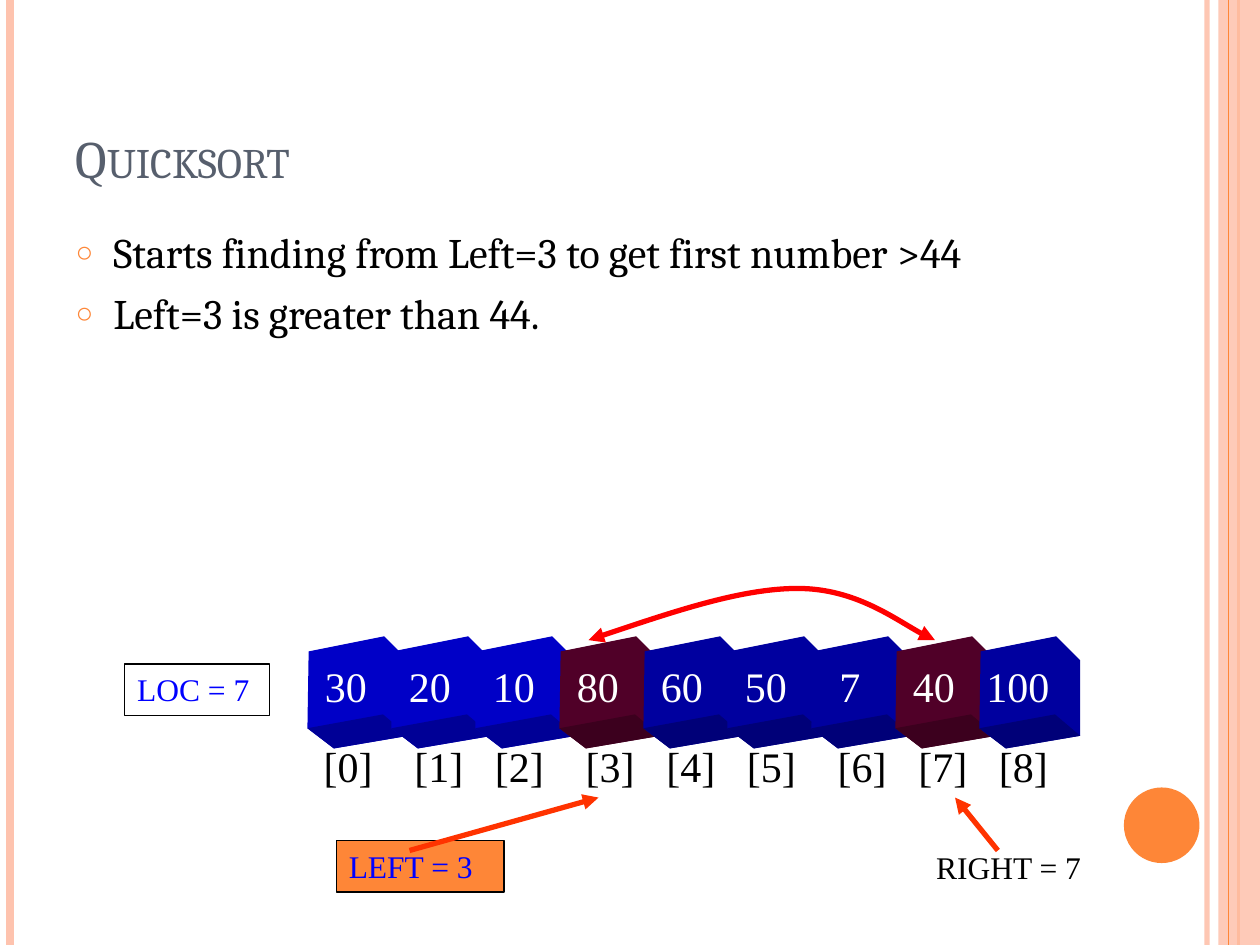
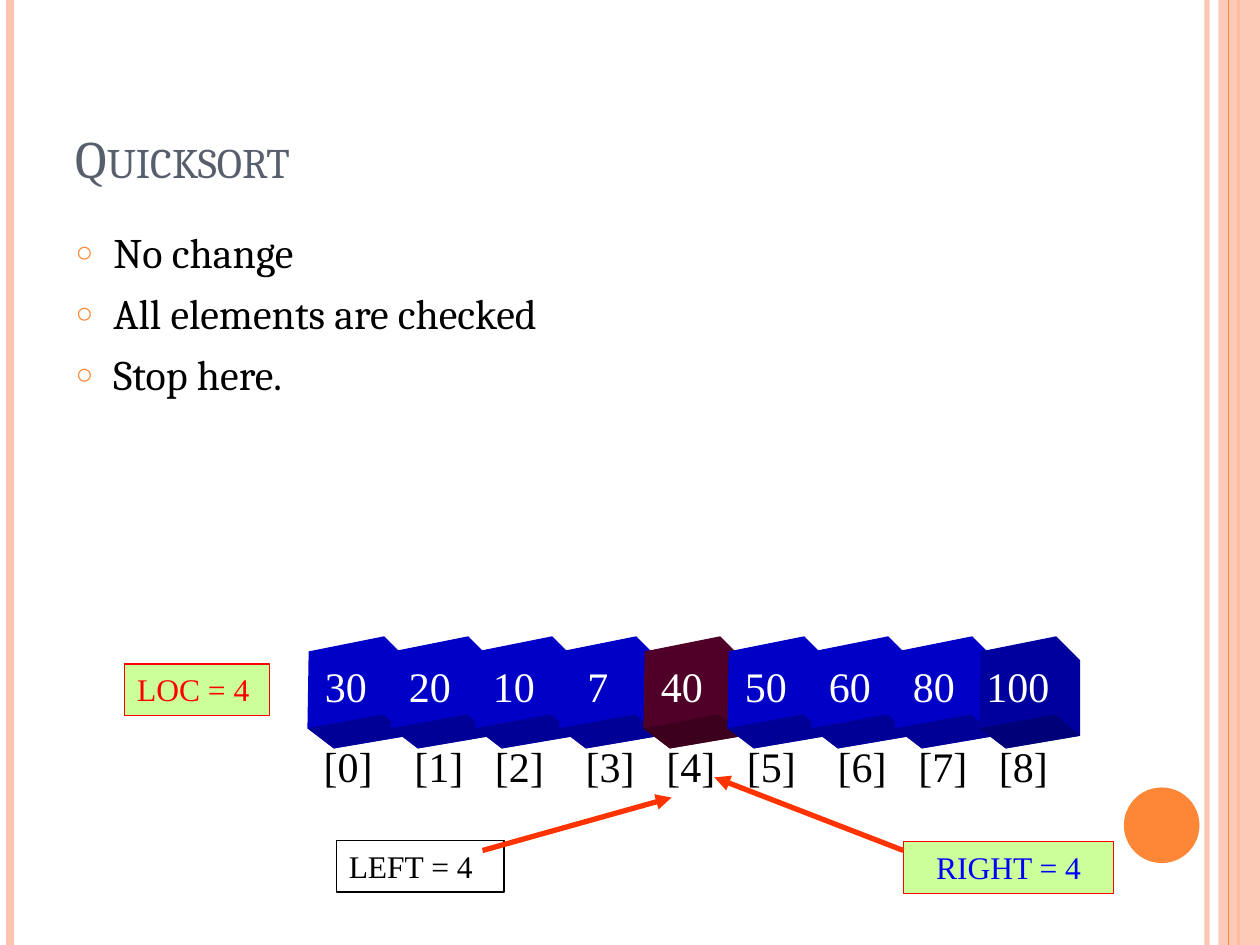
from lxml.etree import SubElement
from pptx import Presentation
from pptx.dml.color import RGBColor
from pptx.enum.shapes import MSO_CONNECTOR as CONN, MSO_SHAPE as SHAPE
from pptx.enum.text import MSO_ANCHOR as ANCHOR, PP_ALIGN as ALIGN
from pptx.oxml.ns import qn
from pptx.util import Inches, Pt

ORANGE, PEACH, SLATE = "FE8637", "FEC3AE", "575F6D"
BLACK, WHITE, BLUE, RED = "000000", "FFFFFF", "0000FF", "FF0000"
NAVY, PLUM, LIME, ARROW = "0000CC", "660033", "CCFF99", "FF3300"
SERIF, ROMAN = "Cambria", "Times New Roman"

CELL = 2 / 3
ROW_LEFT, ROW_TOP = 2.42, 5.08
CUBE = [(0.03, 0.09), (0.63, -0.03), (0.82, 0.16), (0.82, 0.76), (0.23, 0.86), (0.02, 0.7)]
CUBE_BASE = [(0.02, 0.7), (0.62, 0.59), (0.82, 0.76), (0.23, 0.86)]
SWAP = [(4.67, 5.08), (5.27, 4.88), (5.88, 4.67), (6.33, 4.67),
        (6.79, 4.67), (7.24, 5.01), (7.42, 5.08)]


def rgb(color):
    return RGBColor.from_string(color)


def shade(color, factor):
    return "".join(f"{round(int(color[i:i + 2], 16) * factor):02X}" for i in (0, 2, 4))


def box(*lengths):
    return [Inches(v) for v in lengths]


def add_xml(parent, tag, **attrs):
    return SubElement(parent, qn(tag), attrs)


class Deck:
    def __init__(self):
        self.prs = Presentation()
        self.prs.slide_width, self.prs.slide_height = box(10, 7.5)
        self.slide = None

    def new_slide(self):
        self.slide = self.prs.slides.add_slide(self.prs.slide_layouts[1])

    def paint(self, sp, fill=None, line=None, width=0.75, alpha=None):
        sp.shadow.inherit = False
        if fill:
            sp.fill.solid()
            sp.fill.fore_color.rgb = rgb(fill)
            if alpha:
                clr = sp.fill._xPr.find(qn("a:solidFill"))[0]
                add_xml(clr, "a:alpha", val=str(alpha * 1000))
        else:
            sp.fill.background()
        if line:
            sp.line.color.rgb = rgb(line)
            sp.line.width = Pt(width)
        else:
            sp.line.fill.background()
        return sp

    def style(self, p, font, size, color):
        for r in p.runs:
            r.font.name, r.font.size = font, Pt(size)
            r.font.color.rgb = rgb(color)

    def shape(self, kind, at, **look):
        return self.paint(self.slide.shapes.add_shape(kind, *box(*at)), **look)

    def line(self, start, end, color, width, alpha=None, arrow=False):
        cn = self.slide.shapes.add_connector(CONN.STRAIGHT, *box(*start, *end))
        cn.line.color.rgb = rgb(color)
        cn.line.width = Pt(width)
        ln = cn.line._get_or_add_ln()
        if alpha:
            add_xml(ln.find(qn("a:solidFill"))[0], "a:alpha", val=str(alpha * 1000))
        if arrow:
            add_xml(ln, "a:tailEnd", type="triangle")
        add_xml(cn._element.spPr, "a:effectLst")

    def polygon(self, points, close=True, **look):
        points = [box(*pt) for pt in points]
        fb = self.slide.shapes.build_freeform(*points[0])
        fb.add_line_segments(points[1:], close=close)
        return self.paint(fb.convert_to_shape(), **look)

    def curve(self, points, color, width):
        sp = self.polygon(points, close=False, line=color, width=width)
        segments = list(sp._element.iter(qn("a:lnTo")))
        outline = segments[0].getparent()
        for i in range(0, len(segments), 3):
            bezier = add_xml(outline, "a:cubicBezTo")
            for seg in segments[i:i + 3]:
                bezier.append(seg[0])
                outline.remove(seg)
        ln = sp.line._get_or_add_ln()
        for end in ("a:headEnd", "a:tailEnd"):
            add_xml(ln, end, type="triangle")

    def label(self, text, at, size=18, color=BLACK, fill=None, line=None, align=ALIGN.LEFT):
        if line:
            sp = self.shape(SHAPE.RECTANGLE, at, fill=fill, line=line)
        else:
            sp = self.slide.shapes.add_textbox(*box(*at))
        tf = sp.text_frame
        tf.word_wrap = True
        tf.vertical_anchor = ANCHOR.TOP
        tf.text = text
        p = tf.paragraphs[0]
        p.alignment = align
        self.style(p, ROMAN, size, color)
        return p

    def master_bands(self):
        self.line((9.58, 0), (9.58, 7.5), PEACH, 3, alpha=93)
        self.line((0.08, 0), (0.08, 7.5), PEACH, 4.5)
        self.line((9.83, 0), (9.83, 7.5), ORANGE, 1.5)
        self.shape(SHAPE.RECTANGLE, (9.67, 0, 0.33, 7.5), fill=PEACH, alpha=87)
        self.line((9.75, 0), (9.75, 7.5), ORANGE, 0.75)
        self.shape(SHAPE.OVAL, (8.92, 6.25, 0.6, 0.6), fill=ORANGE)
        tree = self.prs.slide_master.shapes._spTree
        bands = [s for s in self.slide.shapes if not s.is_placeholder]
        for i, s in enumerate(bands, 101):
            next(s._element.iter(qn("p:cNvPr"))).set("id", str(i))
            tree.append(s._element)

    def title(self, text):
        sp = self.slide.shapes.title
        sp.left, sp.top, sp.width, sp.height = box(0.5, 0.3, 8.17, 1.25)
        tf = sp.text_frame
        tf.vertical_anchor = ANCHOR.BOTTOM
        tf.text = text
        p = tf.paragraphs[0]
        p.alignment = ALIGN.LEFT
        self.style(p, SERIF, 30, SLATE)
        p.runs[0].font._element.set("cap", "small")

    def bullets(self, items, width):
        sp = self.slide.placeholders[1]
        sp.left, sp.top, sp.width, sp.height = box(0.5, 1.75, width, 5.33)
        tf = sp.text_frame
        tf.text = "\n".join(items)
        for i, p in enumerate(tf.paragraphs):
            p.space_before = Pt(6 if i else 0)
            pPr = p._p.get_or_add_pPr()
            pPr.set("marL", str(Inches(0.3)))
            pPr.set("indent", str(-Inches(0.3)))
            add_xml(add_xml(pPr, "a:buClr"), "a:srgbClr", val=ORANGE)
            add_xml(pPr, "a:buSzPct", val="70000")
            add_xml(pPr, "a:buChar", char="○")
            self.style(p, SERIF, 24, BLACK)

    def cube(self, i, value, color):
        left = ROW_LEFT + i * CELL
        front, base = ([(left + x, ROW_TOP + y) for x, y in face] for face in (CUBE, CUBE_BASE))
        sp = self.polygon(front, fill=shade(color, 0.78))
        self.polygon(base, fill=shade(color, 0.59))
        tf = sp.text_frame
        tf.word_wrap = False
        tf.vertical_anchor = ANCHOR.MIDDLE
        tf.margin_left, tf.margin_top, tf.margin_right, tf.margin_bottom = box(0, 0, 0.19, 0.1)
        tf.text = str(value)
        p = tf.paragraphs[0]
        p.alignment = ALIGN.CENTER
        self.style(p, ROMAN, 24, WHITE)

    def array(self, values, colors):
        for i, (value, color) in enumerate(zip(values, colors)):
            self.cube(i, value, color)
        count = len(values)
        p = self.label("\t".join(f"[{i}]" for i in range(count)), (2.47, 5.83, 5.95, 0.5), size=24)
        tabs = add_xml(p._p.get_or_add_pPr(), "a:tabLst")
        for i in range(1, count):
            stop = 0.64 * i + 0.08 * (1 + i // 3)
            add_xml(tabs, "a:tab", pos=str(Inches(stop)), algn="l")

    def pointers(self, loc, left, right, looks, arrows):
        self.label(f"LOC = {loc}", (0.99, 5.27, 1.15, 0.41), **looks[0])
        self.label(f"LEFT = {left}", (2.67, 6.67, 1.33, 0.41), **looks[1])
        self.label(f"RIGHT = {right}", (7.17, 6.68, 1.67, 0.41), align=ALIGN.CENTER, **looks[2])
        for start, end in arrows:
            self.line(start, end, ARROW, 3, arrow=True)


def main():
    deck = Deck()
    deck.new_slide()
    deck.master_bands()
    deck.title("Quicksort")
    deck.bullets(["Starts finding from Left=3 to get first number >44",
                  "Left=3 is greater than 44."], 8.67)
    deck.array([30, 20, 10, 80, 60, 50, 7, 40, 100],
               [BLUE] * 3 + [PLUM] + [NAVY] * 3 + [PLUM, NAVY])
    deck.pointers(7, 3, 7,
                  [dict(color=BLUE, line=BLACK), dict(color=BLUE, fill=ORANGE, line=BLACK), {}],
                  [((7.92, 6.75), (7.58, 6.33)), ((3.25, 6.75), (4.75, 6.33))])
    deck.curve(SWAP, RED, 3)

    deck.new_slide()
    deck.title("Quicksort")
    deck.bullets(["No change", "All elements are checked", "Stop here."], 8.17)
    deck.array([30, 20, 10, 7, 40, 50, 60, 80, 100],
               [BLUE] * 4 + [PLUM] + [BLUE] * 3 + [NAVY])
    deck.pointers(4, 4, 4,
                  [dict(color=RED, fill=LIME, line=RED), dict(line=BLACK),
                   dict(color=BLUE, fill=LIME, line=RED)],
                  [((7.17, 6.75), (5.67, 6.17)), ((3.83, 6.75), (5.33, 6.33))])
    deck.prs.save("out.pptx")


if __name__ == "__main__":
    main()
